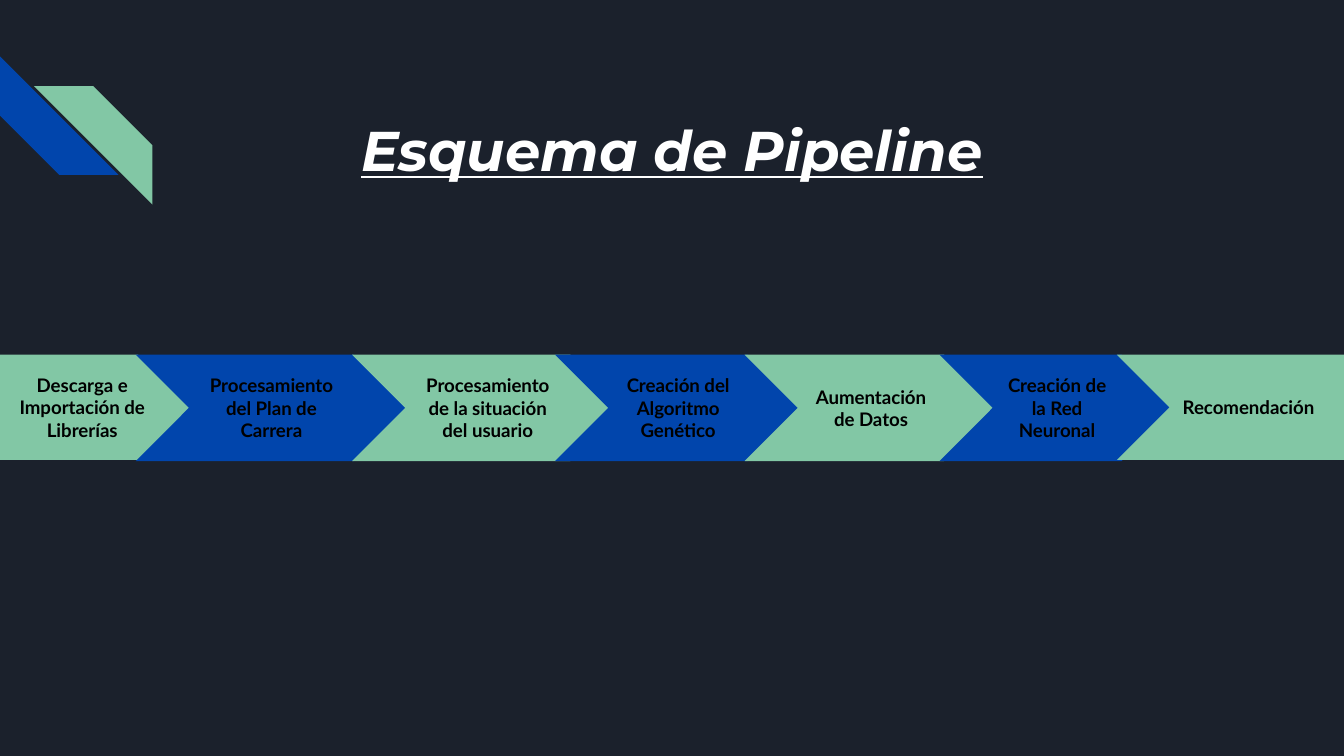
"""Build the pipeline slide: a title above a row of seven chevron stages."""
from pptx import Presentation
from pptx.dml.color import RGBColor
from pptx.enum.shapes import MSO_SHAPE
from pptx.enum.text import MSO_ANCHOR, PP_ALIGN
from pptx.util import Pt

COLORS = {
    "night": "1B212C",
    "blue": "0145AC",
    "green": "82C7A5",
    "white": "FFFFFF",
    "black": "000000",
}
STAGES = [
    ("Descarga e Importación de Librerías", 0, 102.2, 56.4),
    ("Procesamiento del Plan de Carrera", 72.7, 145.4, 57),
    ("Procesamiento de la situación del usuario", 188.6, 145.4, 57),
    ("Creación del Algoritmo Genético", 297.4, 131.8, 57),
    ("Aumentación de Datos", 398.9, 135.4, 57),
    ("Creación de la Red Neuronal", 503.3, 126, 57),
    ("Recomendación", 598.3, 179.3, 56.4),
]
STAGE_TOP = 190
STRIPE_SIZE = 63.5


def color(name):
    return RGBColor.from_string(COLORS[name])


def add_filled(slide, preset, left, top, width, height, fill):
    shape = slide.shapes.add_shape(preset, Pt(left), Pt(top), Pt(width), Pt(height))
    shape.shadow.inherit = False
    shape.fill.solid()
    shape.fill.fore_color.rgb = color(fill)
    shape.line.fill.background()
    shape.adjustments[0] = 0.5
    return shape


def add_stripe(slide, left, top, rotation, fill):
    stripe = add_filled(slide, MSO_SHAPE.DIAGONAL_STRIPE, left, top,
                        STRIPE_SIZE, STRIPE_SIZE, fill)
    stripe.rotation = rotation


def write(frame, text, font_name, size, text_color, align, anchor):
    frame.word_wrap = True
    frame.vertical_anchor = anchor
    frame.margin_left = frame.margin_right = Pt(7.2)
    frame.margin_top = frame.margin_bottom = Pt(7.2)
    paragraph = frame.paragraphs[0]
    paragraph.alignment = align
    run = paragraph.add_run()
    run.text = text
    run.font.name = font_name
    run.font.size = Pt(size)
    run.font.bold = True
    run.font.color.rgb = color(text_color)
    return run


def add_title(slide, text):
    title = slide.shapes.add_textbox(Pt(0), Pt(54.7), Pt(720), Pt(72))
    run = write(title.text_frame, text, "Montserrat", 30, "white",
                PP_ALIGN.CENTER, MSO_ANCHOR.TOP)
    run.font.italic = True
    run.font.underline = True


def add_stage(slide, index, label, left, width, height):
    preset = MSO_SHAPE.CHEVRON if index else MSO_SHAPE.PENTAGON
    fill = "blue" if index % 2 else "green"
    align = PP_ALIGN.LEFT if index == len(STAGES) - 1 else PP_ALIGN.CENTER
    stage = add_filled(slide, preset, left, STAGE_TOP, width, height, fill)
    write(stage.text_frame, label, "Lato", 10, "black", align, MSO_ANCHOR.MIDDLE)


def main():
    presentation = Presentation()
    presentation.slide_width, presentation.slide_height = Pt(720), Pt(405)
    slide = presentation.slides.add_slide(presentation.slide_layouts[6])
    slide.background.fill.solid()
    slide.background.fill.fore_color.rgb = color("night")
    add_stripe(slide, 0, 30.2, 270, "blue")
    add_stripe(slide, 18.2, 46.2, 90, "green")
    add_title(slide, "Esquema de Pipeline")
    for index, stage in enumerate(STAGES):
        add_stage(slide, index, *stage)
    presentation.save("out.pptx")


if __name__ == "__main__":
    main()
